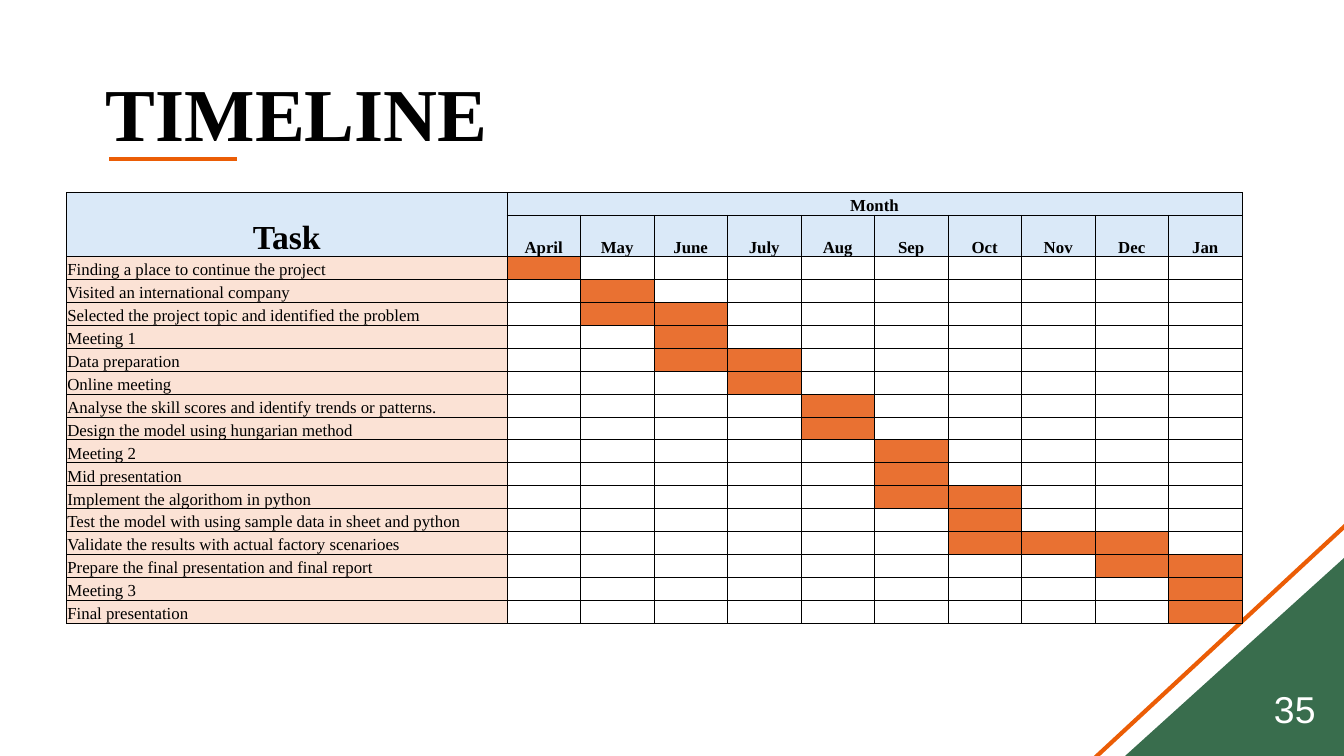
"""Build a project timeline slide with a Gantt table."""
from dataclasses import dataclass

from lxml.etree import Element, SubElement
from pptx import Presentation
from pptx.dml.color import RGBColor
from pptx.enum.shapes import MSO_CONNECTOR, MSO_SHAPE
from pptx.enum.text import MSO_ANCHOR as Anchor, PP_ALIGN as Align
from pptx.oxml.ns import qn
from pptx.util import Pt

BLACK = RGBColor(0x00, 0x00, 0x00)
WHITE = RGBColor(0xFF, 0xFF, 0xFF)
GREEN = RGBColor(0x39, 0x6D, 0x4D)
ORANGE = RGBColor(0xEB, 0x5D, 0x06)
HEADER_BLUE = RGBColor(0xDA, 0xE9, 0xF8)
TASK_PEACH = RGBColor(0xFB, 0xE2, 0xD5)
BAR_ORANGE = RGBColor(0xE9, 0x71, 0x32)
SERIF = "Times New Roman"
MONTHS = ["April", "May", "June", "July", "Aug", "Sep", "Oct", "Nov", "Dec", "Jan"]
HEADER_ROWS = 2


@dataclass(frozen=True)
class Task:
    name: str
    start: str
    end: str


@dataclass(frozen=True)
class TextStyle:
    size: float
    font: str = SERIF
    color: RGBColor = BLACK
    bold: bool = False
    align: Align = Align.LEFT


@dataclass(frozen=True)
class Label:
    text: str
    left: float
    top: float
    width: float
    height: float
    top_inset: float
    style: TextStyle


@dataclass(frozen=True)
class Rule:
    x1: float
    y1: float
    x2: float
    y2: float


TASK_STYLE = TextStyle(9)
HEADER_STYLE = TextStyle(9, bold=True, align=Align.CENTER)
CORNER_STYLE = TextStyle(18, bold=True, align=Align.CENTER)

TASKS = [
    Task("Finding a place to continue the project", "April", "April"),
    Task("Visited an international company", "May", "May"),
    Task("Selected the project topic and identified the problem", "May", "June"),
    Task("Meeting 1", "June", "June"),
    Task("Data preparation", "June", "July"),
    Task("Online meeting", "July", "July"),
    Task("Analyse the skill scores and identify trends or patterns.", "Aug", "Aug"),
    Task("Design the model using hungarian method", "Aug", "Aug"),
    Task("Meeting 2", "Sep", "Sep"),
    Task("Mid presentation", "Sep", "Sep"),
    Task("Implement the algorithom in python", "Sep", "Oct"),
    Task("Test the model with using sample data in sheet and python", "Oct", "Oct"),
    Task("Validate the results with actual factory scenarioes", "Oct", "Dec"),
    Task("Prepare the final presentation and final report", "Dec", "Jan"),
    Task("Meeting 3", "Jan", "Jan"),
    Task("Final presentation", "Jan", "Jan"),
]
TITLE = Label("TIMELINE", 49.7, 23.8, 607, 45.4, 12, TextStyle(40, bold=True))
PAGE_NUMBER = Label("35", 675.4, 364.3, 36.7, 31.7, 3.6, TextStyle(20, "Arial", WHITE))
RULES = [Rule(58.4, 85, 126.8, 85), Rule(728.6, 274.3, 581.8, 410.4)]


def style_paragraph(paragraph, style: TextStyle) -> None:
    paragraph.alignment = style.align
    for run in paragraph.runs:
        run.font.name = style.font
        run.font.size = Pt(style.size)
        run.font.bold = style.bold
        run.font.color.rgb = style.color


def add_label(slide, label: Label) -> None:
    box = slide.shapes.add_textbox(
        Pt(label.left), Pt(label.top), Pt(label.width), Pt(label.height))
    frame = box.text_frame
    frame.word_wrap = True
    frame.margin_top = Pt(label.top_inset)
    frame.text = label.text
    style_paragraph(frame.paragraphs[0], label.style)


def add_rule(slide, rule: Rule) -> None:
    connector = slide.shapes.add_connector(
        MSO_CONNECTOR.STRAIGHT, Pt(rule.x1), Pt(rule.y1), Pt(rule.x2), Pt(rule.y2))
    connector.line.color.rgb = ORANGE
    connector.line.width = Pt(2.25)
    SubElement(connector._element.spPr, qn("a:effectLst"))


def add_corner(slide) -> None:
    corner = slide.shapes.add_shape(
        MSO_SHAPE.RIGHT_TRIANGLE, Pt(597.6), Pt(294.5), Pt(127.4), Pt(115.2))
    corner._element.spPr.xfrm.set("flipH", "1")
    corner.shadow.inherit = False
    corner.fill.solid()
    corner.fill.fore_color.rgb = GREEN
    corner.line.fill.background()


def add_borders(cell) -> None:
    properties = cell._tc.get_or_add_tcPr()
    for position, side in enumerate(("lnL", "lnR", "lnT", "lnB")):
        border = Element(qn(f"a:{side}"), w=str(Pt(0.5)))
        fill = SubElement(border, qn("a:solidFill"))
        SubElement(fill, qn("a:srgbClr"), val=str(BLACK))
        properties.insert(position, border)


def format_blank_cell(cell) -> None:
    cell.vertical_anchor = Anchor.BOTTOM
    cell.margin_left = cell.margin_right = cell.margin_top = Pt(0.5)
    cell.margin_bottom = Pt(0)
    cell.fill.background()
    add_borders(cell)
    SubElement(cell.text_frame.paragraphs[0]._p, qn("a:endParaRPr"), sz="900")


def fill_cell(cell, color: RGBColor) -> None:
    cell.fill.solid()
    cell.fill.fore_color.rgb = color


def write_cell(cell, text: str, color: RGBColor, style: TextStyle) -> None:
    fill_cell(cell, color)
    cell.text_frame.text = text
    style_paragraph(cell.text_frame.paragraphs[0], style)


def add_gantt(slide) -> None:
    row_count = HEADER_ROWS + len(TASKS)
    table = slide.shapes.add_table(
        row_count, 1 + len(MONTHS), Pt(35.6), Pt(103.1), Pt(630), Pt(229.5)).table
    table.first_row = table.horz_banding = False
    for index, column in enumerate(table.columns):
        column.width = Pt(39.4 if index else 236)
    for index, row in enumerate(table.rows):
        row.height = Pt(20.4 if index == 1 else 12.3)
    for cell in table.iter_cells():
        format_blank_cell(cell)

    table.cell(0, 0).merge(table.cell(1, 0))
    table.cell(0, 1).merge(table.cell(0, len(MONTHS)))
    write_cell(table.cell(0, 0), "Task", HEADER_BLUE, CORNER_STYLE)
    write_cell(table.cell(0, 1), "Month", HEADER_BLUE, HEADER_STYLE)
    for column, month in enumerate(MONTHS, start=1):
        write_cell(table.cell(1, column), month, HEADER_BLUE, HEADER_STYLE)
    for row, task in enumerate(TASKS, start=HEADER_ROWS):
        write_cell(table.cell(row, 0), task.name, TASK_PEACH, TASK_STYLE)
        for month in range(MONTHS.index(task.start), MONTHS.index(task.end) + 1):
            fill_cell(table.cell(row, month + 1), BAR_ORANGE)


def main() -> None:
    presentation = Presentation()
    presentation.slide_width = Pt(720)
    presentation.slide_height = Pt(405)
    slide = presentation.slides.add_slide(presentation.slide_layouts[6])
    add_corner(slide)
    add_label(slide, TITLE)
    for rule in RULES:
        add_rule(slide, rule)
    add_gantt(slide)
    add_label(slide, PAGE_NUMBER)
    presentation.save("out.pptx")


if __name__ == "__main__":
    main()
